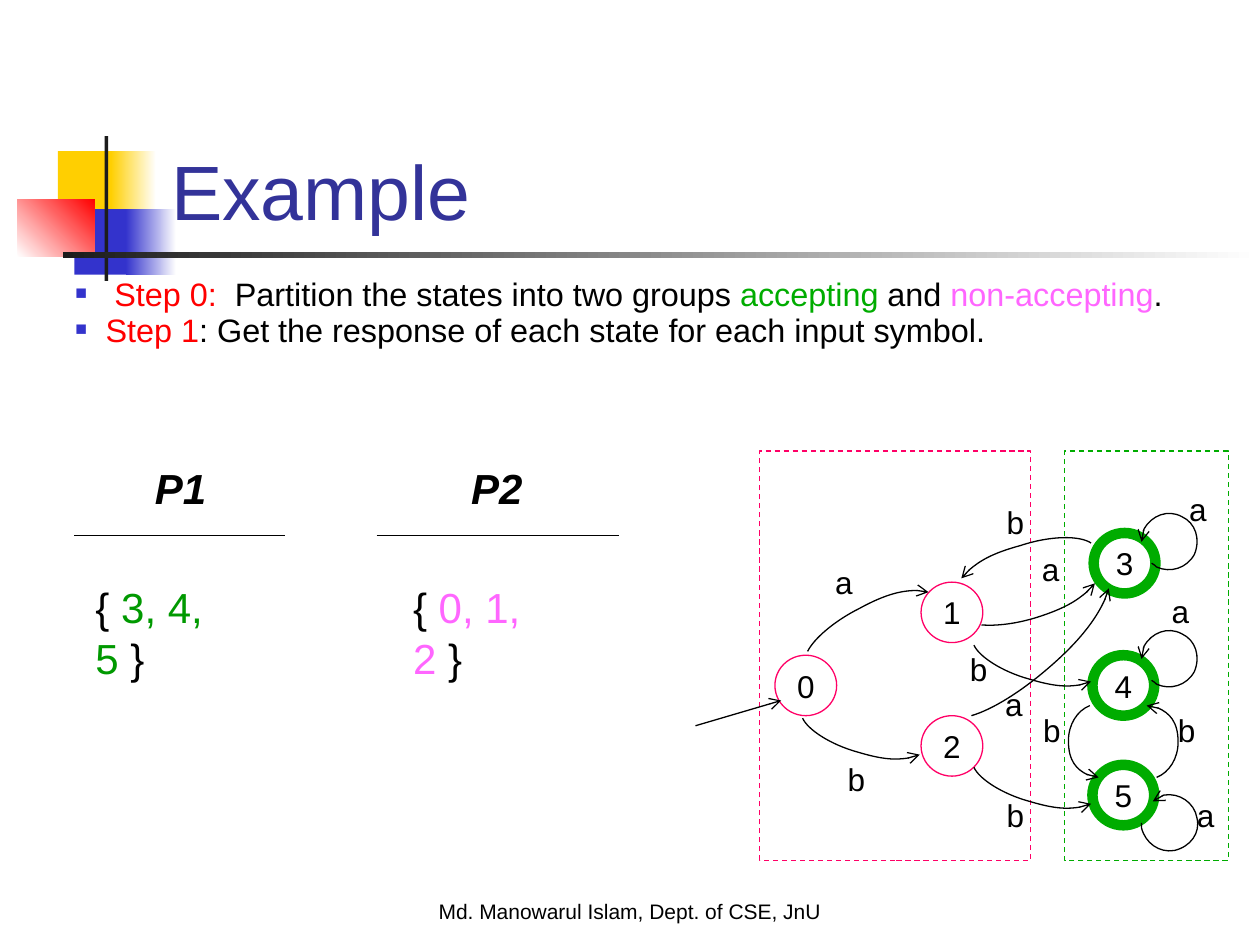
from lxml import etree
from pptx import Presentation
from pptx.dml.color import RGBColor
from pptx.enum import dml, shapes, text
from pptx.oxml import ns
from pptx.util import Inches, Pt

BLACK = RGBColor(0, 0, 0)
WHITE = RGBColor(255, 255, 255)
DARK = RGBColor(0x1C, 0x1C, 0x1C)
GOLD = RGBColor(0xFF, 0xCF, 0x01)
BLUE = RGBColor(0x33, 0x33, 0xCC)
NAVY = RGBColor(0x33, 0x33, 0x99)
RED = RGBColor(255, 0, 0)
GREEN = RGBColor(0, 0xAC, 0)
LEAF = RGBColor(0, 0x99, 0)
PINK = RGBColor(0xFF, 0x66, 0xFF)
ROSE = RGBColor(0xFF, 0, 0x66)

RECT = shapes.MSO_SHAPE.RECTANGLE
OVAL = shapes.MSO_SHAPE.OVAL
CENTER = text.PP_ALIGN.CENTER

DECOR = [
    (0.46, 1.2, 0.48, 0.52, GOLD, GOLD, 0),
    (0.88, 1.2, 0.36, 0.52, GOLD, WHITE, 0),
    (0.59, 1.66, 0.46, 0.52, BLUE, BLUE, 0),
    (1, 1.66, 0.4, 0.52, BLUE, WHITE, 0),
    (0.14, 1.58, 0.61, 0.46, WHITE, RED, 45),
    (0.83, 1.08, 0.03, 1.15, DARK, DARK, 0),
    (0.5, 2, 9.5, 0.05, DARK, WHITE, 0),
]
STEPS = [
    (0.31, [("Step 0:  ", RED), ("Partition the states into two groups ", BLACK),
            ("accepting", GREEN), (" and ", BLACK), ("non-accepting", PINK), (".", BLACK)]),
    (0.24, [("Step 1", RED),
            (": Get the response of each state for each input symbol.", BLACK)]),
]
GROUPS = [
    ("P1", "3, 4, 5", LEAF, 1.13, 0.66, 0.59, 2.26),
    ("P2", "0, 1, 2", PINK, 3.64, 3.18, 2.99, 4.91),
]
STATES = [
    ("0", 6.15, 5.2, ROSE, 0.75), ("1", 7.31, 4.62, ROSE, 0.75), ("2", 7.31, 5.68, ROSE, 0.75),
    ("3", 8.68, 4.23, GREEN, 6), ("4", 8.67, 5.2, GREEN, 6), ("5", 8.67, 6.07, GREEN, 6),
]
INPUTS = [
    ("a", 6.53, 4.42), ("a", 7.88, 5.39), ("a", 8.17, 4.32), ("a", 9.2, 4.65),
    ("a", 9.34, 3.84), ("a", 9.4, 6.27), ("b", 6.63, 5.98), ("b", 7.6, 5.11),
    ("b", 7.89, 3.94), ("b", 7.89, 6.27), ("b", 8.18, 5.59), ("b", 9.25, 5.59),
]
DIP = [(0, 0), (0.04, 0.09), (0.22, 0.21), (0.44, 0.27), (0.64, 0.33), (0.83, 0.34), (0.93, 0.29)]
LOOP = [(0, 0), (0.02, 0.01), (0.03, 0.02), (0.04, 0.03), (0.15, 0.08), (0.28, 0.04),
        (0.34, -0.07), (0.39, -0.19), (0.35, -0.32), (0.24, -0.37), (0.13, -0.43),
        (0, -0.38), (-0.06, -0.27), (-0.07, -0.24), (-0.08, -0.2), (-0.08, -0.17)]
SHARED = [(DIP, 6.37, 5.7), (DIP, 7.73, 5.12), (DIP, 7.73, 6.09),
          (LOOP, 9.14, 4.47), (LOOP, 9.14, 5.4)]
CURVES = [
    [(6.41, 5.17), (6.46, 5.07), (6.62, 4.93), (6.82, 4.83), (7.04, 4.71), (7.27, 4.66), (7.37, 4.7)],
    [(8.66, 4.31), (8.57, 4.25), (8.34, 4.25), (8.1, 4.33), (7.88, 4.39), (7.7, 4.49), (7.63, 4.59)],
    [(7.79, 4.96), (7.91, 4.97), (8.07, 4.95), (8.23, 4.9), (8.45, 4.83), (8.63, 4.72), (8.69, 4.63)],
    [(7.71, 5.68), (7.88, 5.63), (8.1, 5.49), (8.3, 5.32), (8.56, 5.1), (8.76, 4.84), (8.8, 4.67)],
    [(8.65, 5.6), (8.55, 5.64), (8.48, 5.75), (8.48, 5.88), (8.48, 6.04), (8.59, 6.17), (8.72, 6.17)],
    [(9.18, 6.17), (9.28, 6.13), (9.35, 6.02), (9.35, 5.89), (9.35, 5.73), (9.24, 5.6), (9.1, 5.6)],
    [(9.06, 6.53), (9.06, 6.54), (9.06, 6.56), (9.06, 6.57), (9.09, 6.69), (9.2, 6.77), (9.32, 6.75),
     (9.45, 6.72), (9.53, 6.61), (9.5, 6.49), (9.48, 6.37), (9.36, 6.29), (9.24, 6.31),
     (9.21, 6.32), (9.17, 6.33), (9.15, 6.36)],
]


def tag(name):
    return ns.qn("a:" + name)


def put(obj, **fmt):
    for key, val in fmt.items():
        setattr(obj, key, val)


def write(para, runs, size, **fmt):
    for words, color in runs:
        run = para.add_run()
        run.text = words
        put(run.font, name="Arial", size=Pt(size), **fmt)
        run.font.color.rgb = color


def label(slide, area, runs, size, wrap=False, align=None, anchor=None, **fmt):
    frame = slide.shapes.add_textbox(*map(Inches, area)).text_frame
    put(frame, word_wrap=wrap, vertical_anchor=anchor)
    frame.paragraphs[0].alignment = align
    write(frame.paragraphs[0], runs, size, **fmt)


def block(slide, x, y, w, h, first, last, angle):
    shape = slide.shapes.add_shape(RECT, *map(Inches, (x, y, w, h)))
    shape.shadow.inherit = False
    shape.line.fill.background()
    if first == last:
        shape.fill.solid()
        shape.fill.fore_color.rgb = first
        return
    shape.fill.gradient()
    shape.fill.gradient_angle = angle
    for stop, color in zip(shape.fill.gradient_stops, (first, last)):
        stop.color.rgb = color


def ring(slide, kind, area, color, width):
    shape = slide.shapes.add_shape(kind, *map(Inches, area))
    shape.shadow.inherit = False
    shape.fill.background()
    shape.line.color.rgb = color
    shape.line.width = Pt(width)
    return shape


def state(slide, name, x, y, color, width):
    frame = ring(slide, OVAL, (x, y, 0.49, 0.48), color, width).text_frame
    put(frame, word_wrap=False, vertical_anchor=text.MSO_ANCHOR.MIDDLE)
    frame.paragraphs[0].alignment = CENTER
    write(frame.paragraphs[0], [(name, BLACK)], 18)


def ink(shape, arrow):
    shape.line.color.rgb = BLACK
    shape.line.width = Pt(0.75)
    if arrow:
        etree.SubElement(shape.line._get_or_add_ln(), tag("tailEnd"), type="arrow")


def line(slide, ends, arrow=False):
    link = slide.shapes.add_connector(shapes.MSO_CONNECTOR.STRAIGHT, *map(Inches, ends))
    ink(link, arrow)
    etree.SubElement(link._element.spPr, tag("effectLst"))


def curve(slide, points):
    dots = [(Inches(x), Inches(y)) for x, y in points]
    build = slide.shapes.build_freeform(*dots[0])
    build.add_line_segments(dots[1:], close=False)
    shape = build.convert_to_shape()
    shape.shadow.inherit = False
    shape.fill.background()
    ink(shape, True)
    route = shape._element.find(".//" + tag("path"))
    legs = route.findall(tag("lnTo"))
    for i in range(0, len(legs), 3):
        bend = etree.SubElement(route, tag("cubicBezTo"))
        for leg in legs[i:i + 3]:
            bend.append(leg[0])
            route.remove(leg)


def steps(slide):
    frame = slide.shapes.add_textbox(*map(Inches, (0.5, 2.21, 9.29, 0.71))).text_frame
    frame.word_wrap = True
    for i, (indent, runs) in enumerate(STEPS):
        para = frame.add_paragraph() if i else frame.paragraphs[0]
        props = para._p.get_or_add_pPr()
        props.set("marL", str(Inches(indent)))
        props.set("indent", str(-Inches(indent)))
        hue = etree.SubElement(props, tag("buClr"))
        etree.SubElement(hue, tag("srgbClr"), val=str(BLUE))
        etree.SubElement(props, tag("buSzPct"), val="60000")
        etree.SubElement(props, tag("buFont"), typeface="Arial")
        etree.SubElement(props, tag("buChar"), char="■")
        put(para, alignment=text.PP_ALIGN.JUSTIFY, line_spacing=0.7, space_before=Pt(5 * i))
        write(para, runs, 18.5)


def main():
    deck = Presentation()
    put(deck, slide_width=Inches(10), slide_height=Inches(7.5))
    slide = deck.slides.add_slide(deck.slide_layouts[6])
    for item in DECOR:
        block(slide, *item)
    label(slide, (0, 7.08, 10, 0.5), [("Md. Manowarul Islam, Dept. of CSE, JnU", BLACK)], 12,
          wrap=True, align=CENTER)
    label(slide, (1.26, 0.67, 8.52, 1.25), [("Example", NAVY)], 44,
          wrap=True, anchor=text.MSO_ANCHOR.BOTTOM)
    steps(slide)
    for name, items, color, head, body, left, right in GROUPS:
        label(slide, (head, 3.62, 0.61, 0.5), [(name, BLACK)], 24, bold=True, italic=True)
        line(slide, (left, 4.25, right, 4.25))
        label(slide, (body, 4.57, 1.53, 0.5),
              [("{ ", BLACK), (items, color), (" }", BLACK)], 24)
    for x, w, color in ((8.45, 1.3, GREEN), (6.03, 2.15, ROSE)):
        frame = ring(slide, RECT, (x, 3.58, w, 3.25), color, 0.75)
        frame.line.dash_style = dml.MSO_LINE.DASH
    for name, x, y in INPUTS:
        label(slide, (x, y, 0.34, 0.4), [(name, BLACK)], 18)
    for item in STATES:
        state(slide, *item)
    line(slide, (5.52, 5.76, 6.2, 5.56), True)
    moved = [[(x + dx, y + dy) for dx, dy in base] for base, x, y in SHARED]
    for points in CURVES + moved:
        curve(slide, points)
    deck.save("out.pptx")


if __name__ == "__main__":
    main()
